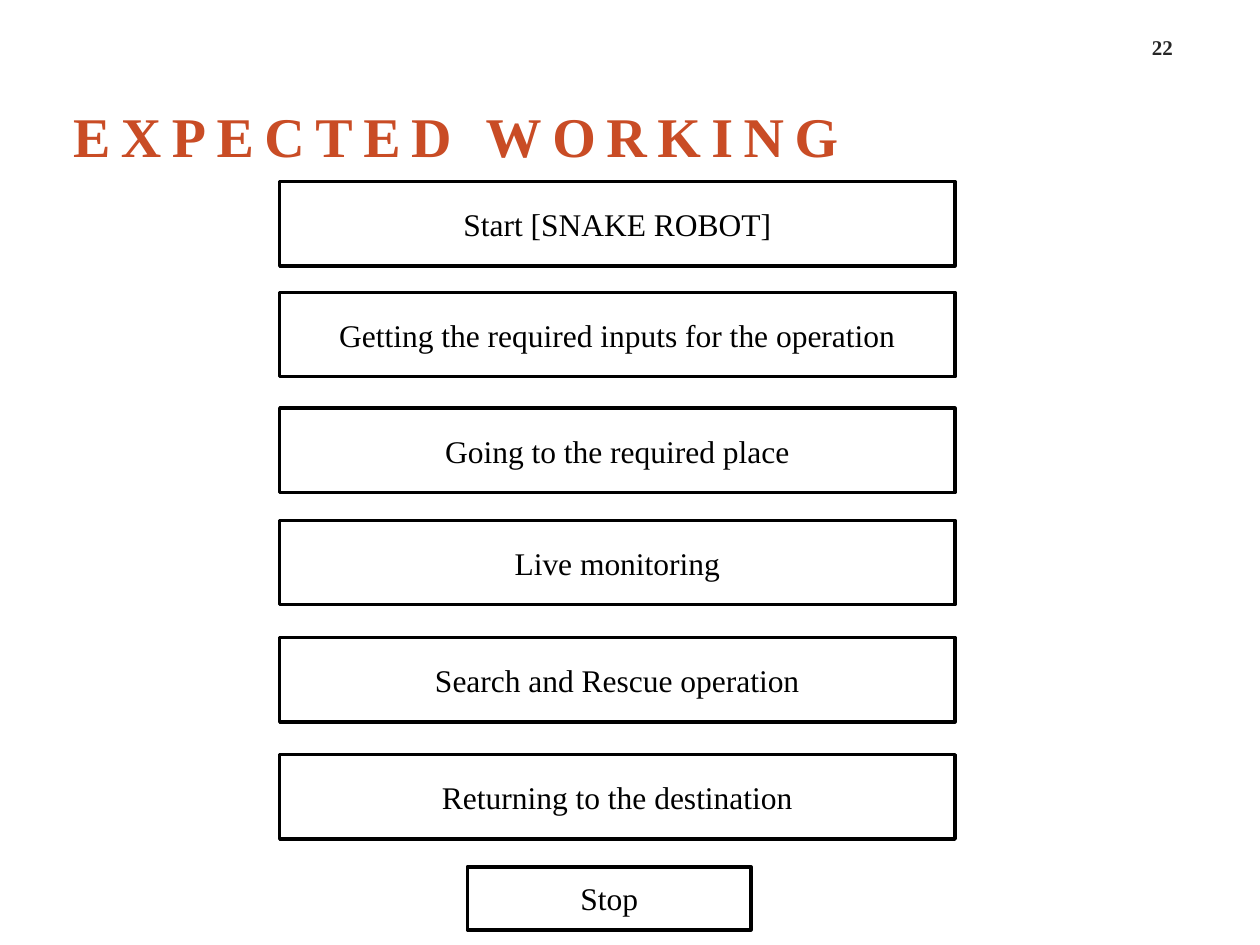
"""Build the expected working slide: a title above a column of process steps."""
from dataclasses import dataclass

from pptx import Presentation
from pptx.dml.color import RGBColor
from pptx.enum import shapes, text
from pptx.util import Inches, Pt

FONT = "Times New Roman"
BLACK = "000000"
WHITE = "FFFFFF"
ORANGE = "C94C25"
CHARCOAL = "262626"


@dataclass(frozen=True)
class Step:
    label: str
    top: float
    left: float = 2.22
    width: float = 5.36
    height: float = 0.67


STEPS = [
    Step("Start [SNAKE ROBOT]", 1.44),
    Step("Getting the required inputs for the operation", 2.32),
    Step("Going to the required place", 3.24),
    Step("Live monitoring", 4.13),
    Step("Search and Rescue operation", 5.06),
    Step("Returning to the destination", 5.99),
    Step("Stop", 6.88, left=3.71, width=2.25, height=0.5),
]


def color(value: str) -> RGBColor:
    return RGBColor.from_string(value)


def write(box, words: str, size: float, ink: str, bold: bool = False,
          align=text.PP_ALIGN.CENTER, anchor=text.MSO_ANCHOR.MIDDLE):
    frame = box.text_frame
    frame.word_wrap = True
    frame.auto_size = text.MSO_AUTO_SIZE.NONE
    frame.vertical_anchor = anchor
    para = frame.paragraphs[0]
    para.text = words
    para.alignment = align
    para.font.name = FONT
    para.font.size = Pt(size)
    para.font.bold = bold
    para.font.color.rgb = color(ink)
    return para


def add_title(page) -> None:
    title = page.shapes.title
    title.left, title.top = Inches(0.38), Inches(0.7)
    title.width, title.height = Inches(8.44), Inches(0.74)
    para = write(title, "EXPECTED WORKING", 32, ORANGE, bold=True,
                 align=text.PP_ALIGN.LEFT)
    title.text_frame.margin_left = title.text_frame.margin_right = 0
    properties = para._p.get_or_add_pPr()
    properties.set("marL", str(Inches(0.2)))
    properties.set("indent", "0")
    for span in para.runs:
        span._r.get_or_add_rPr().set("spc", "600")


def add_page_number(page) -> None:
    box = page.shapes.add_textbox(
        Inches(8.95), Inches(0.19), Inches(0.55), Inches(0.33))
    write(box, "22", 12, CHARCOAL, bold=True, anchor=text.MSO_ANCHOR.BOTTOM)


def add_step(page, step: Step) -> None:
    box = page.shapes.add_shape(
        shapes.MSO_SHAPE.RECTANGLE, Inches(step.left), Inches(step.top),
        Inches(step.width), Inches(step.height))
    box.shadow.inherit = False
    box.fill.solid()
    box.fill.fore_color.rgb = color(WHITE)
    box.line.color.rgb = color(BLACK)
    box.line.width = Pt(2)
    write(box, step.label, 18, BLACK)


def main() -> None:
    deck = Presentation()
    deck.slide_width, deck.slide_height = Inches(10), Inches(7.5)
    page = deck.slides.add_slide(deck.slide_layouts.get_by_name("Title Only"))
    add_title(page)
    add_page_number(page)
    for step in STEPS:
        add_step(page, step)
    deck.save("out.pptx")


if __name__ == "__main__":
    main()
